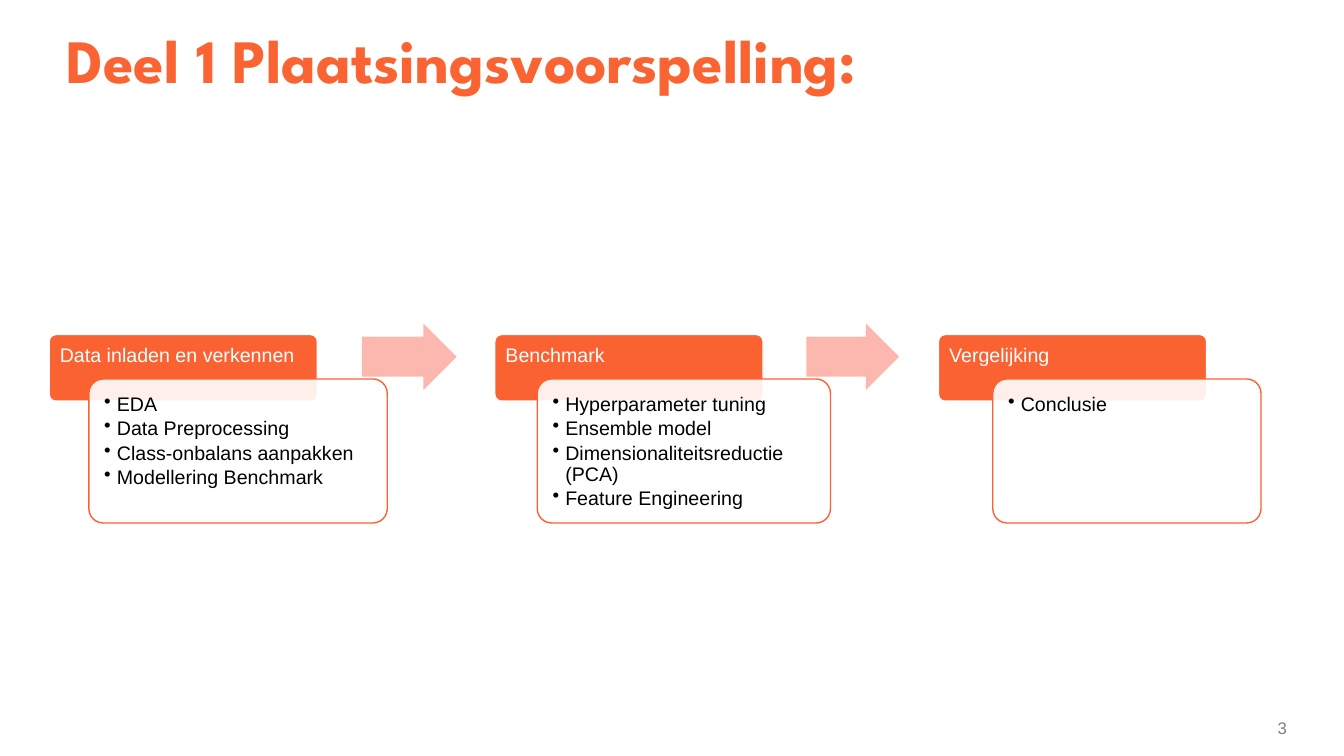
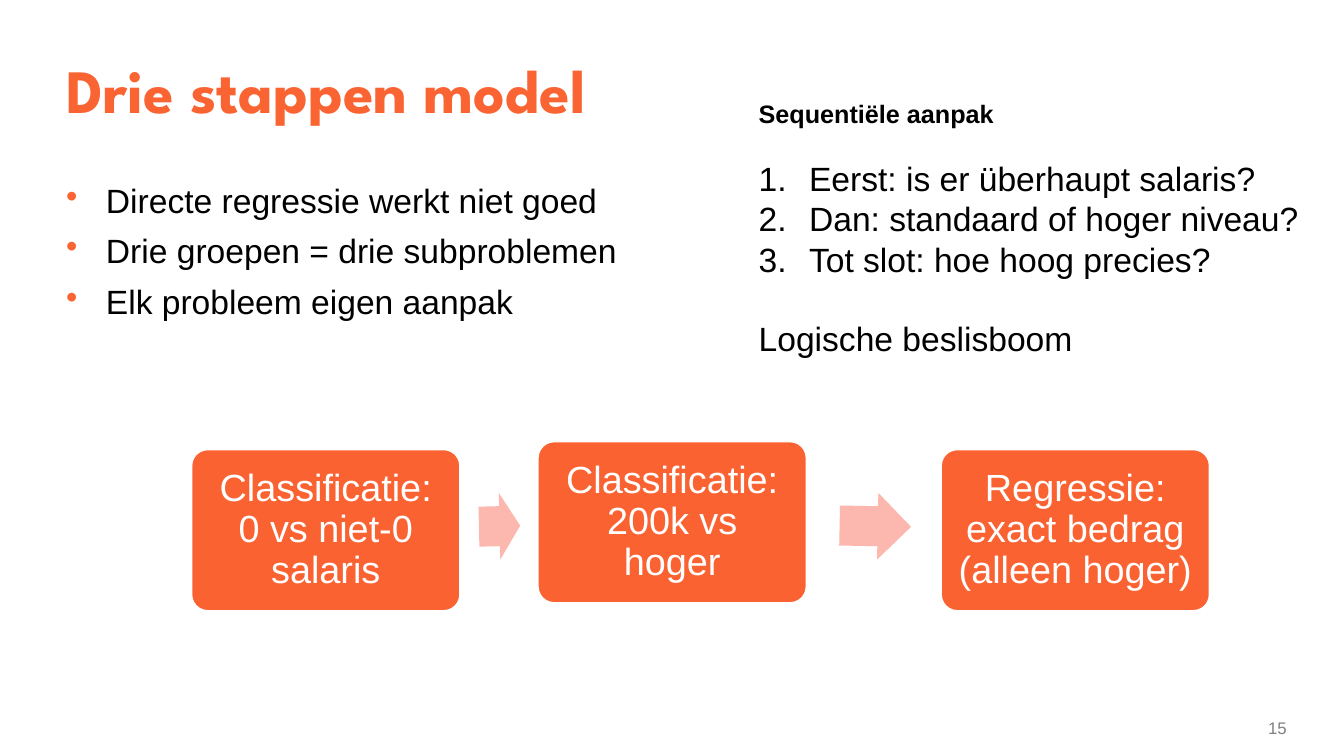
from pptx import Presentation
from pptx.dml.color import RGBColor
from pptx.enum.shapes import MSO_SHAPE as SHAPE
from pptx.enum.text import MSO_ANCHOR as ANCHOR, PP_ALIGN as ALIGN
from pptx.oxml.ns import qn
from pptx.util import Cm, Pt
from lxml.etree import SubElement

HUES = {
    "title": "FA6432",
    "main": "FA6232",
    "arrow": "FCB7AE",
    "white": "FFFFFF",
    "black": "000000",
    "grey": "808080",
}


def write(shape, *lines, size, hue="black", face="Arial", bold=False,
          align=ALIGN.LEFT, anchor=ANCHOR.TOP, pad=(0.25, 0.13, 0.25, 0.13),
          space=1.0, after=0, before=0, mark=None, tint=None, indent=0):
    """Append one paragraph per line; mark is a bullet or "1." for numbers."""
    frame = shape.text_frame
    frame.word_wrap = True
    frame.vertical_anchor = anchor
    (frame.margin_left, frame.margin_top,
     frame.margin_right, frame.margin_bottom) = [Cm(p) for p in pad]
    for line in lines:
        para = frame.paragraphs[0] if not frame.text else frame.add_paragraph()
        para.alignment = align
        para.line_spacing = space
        para.space_before, para.space_after = Pt(before), Pt(after)
        if mark:
            props = para._p.get_or_add_pPr()
            props.set("marL", str(Cm(indent)))
            props.set("indent", str(-Cm(indent)))
            if tint:
                clr = SubElement(props, qn("a:buClr"))
                SubElement(clr, qn("a:srgbClr"), val=HUES[tint])
            if mark == "1.":
                SubElement(props, qn("a:buAutoNum"), type="arabicPeriod")
            else:
                SubElement(props, qn("a:buChar"), char=mark)
        para.text = line
        for run in para.runs:
            run.font.name, run.font.size, run.font.bold = face, Pt(size), bold
            run.font.color.rgb = RGBColor.from_string(HUES[hue])


def draw(slide, kind, left, top, width, height, fill, line=None, adjust=(0.1,)):
    """Add a flat preset shape, with sizes in centimetres."""
    shape = slide.shapes.add_shape(kind, Cm(left), Cm(top), Cm(width), Cm(height))
    shape.shadow.inherit = False
    for i, value in enumerate(adjust):
        shape.adjustments[i] = value
    shape.fill.solid()
    shape.fill.fore_color.rgb = RGBColor.from_string(HUES[fill])
    if line:
        shape.line.color.rgb = RGBColor.from_string(HUES[line])
        shape.line.width = Pt(1)
    else:
        shape.line.fill.background()
    return shape


deck = Presentation()
deck.slide_width, deck.slide_height = Cm(33.87), Cm(19.05)

# Titles and page numbers
slides = []
for title, page, anchor, top in [
    ("Deel 1 Plaatsingsvoorspelling:", "3", ANCHOR.TOP, 0),
    ("Drie stappen model", "15", ANCHOR.MIDDLE, 0.13),
]:
    slide = deck.slides.add_slide(deck.slide_layouts[5])
    slides.append(slide)
    head = slide.shapes.title
    head.left, head.top, head.width, head.height = Cm(1.42), Cm(0.84), Cm(31), Cm(3.1)
    write(head, title, size=44, hue="title", face="League Spartan", bold=True,
          anchor=anchor, pad=(0.25, top, 0.25, 0.13), space=0.85)
    foot = slide.shapes.add_textbox(Cm(30.73), Cm(17.96), Cm(1.7), Cm(0.76))
    write(foot, page, size=12, hue="grey", align=ALIGN.RIGHT,
          anchor=ANCHOR.MIDDLE, pad=(0.25, 0.13, 0, 0.13))
first, second = slides

# Phases: a header with an overlapping card
phases = [
    ("Data inladen en verkennen", 1.24, 2.24, 7.52,
     ["EDA", "Data Preprocessing", "Class-onbalans aanpakken",
      "Modellering Benchmark"]),
    ("Benchmark", 12.47, 13.54, 7.39,
     ["Hyperparameter tuning", "Ensemble model",
      "Dimensionaliteitsreductie (PCA)", "Feature Engineering"]),
    ("Vergelijking", 23.65, 25.02, 6.76, ["Conclusie"]),
]
for name, left, inner, width, items in phases:
    tab = draw(first, SHAPE.ROUNDED_RECTANGLE, left, 8.43, 6.76, 1.68, "main", "white")
    write(tab, name, size=14, hue="white", space=0.9, pad=(0.22, 0.22, 0.22, 0.15))
    card = draw(first, SHAPE.ROUNDED_RECTANGLE, inner, 9.55, width, 3.63, "white", "main")
    tone = card._element.spPr.find(qn("a:solidFill")).find(qn("a:srgbClr"))
    SubElement(tone, qn("a:alpha"), val="90000")
    write(card, *items, size=14, space=0.9, after=2.3, mark="•", indent=0.32,
          pad=(0.28, 0.28, 0.28, 0.28))

# Arrows between phases and between steps
for slide, left, top, width, turn in [
    (first, 9.12, 8.15, 2.39, 0),
    (first, 20.32, 8.15, 2.34, 0),
    (second, 12.07, 12.42, 1.04, -1.3),
    (second, 21.16, 12.42, 1.8, 1.1),
]:
    arrow = draw(slide, SHAPE.RIGHT_ARROW, left, top, width, 1.68, "arrow",
                 adjust=(0.6, 0.5))
    arrow.rotation = turn

# Reasons on the left
why = second.shapes.add_textbox(Cm(1.42), Cm(4.52), Cm(15.72), Cm(4.34))
write(why, "Directe regressie werkt niet goed", "Drie groepen = drie subproblemen",
      "Elk probleem eigen aanpak", size=24, space=0.9, after=10,
      mark="•", tint="title", indent=1)

# Approach on the right
plan = second.shapes.add_textbox(Cm(18.87), Cm(2.36), Cm(14.98), Cm(6.93))
write(plan, "Sequentiële aanpak", size=18, bold=True, after=20.7)
write(plan, "Eerst: is er überhaupt salaris?", "Dan: standaard of hoger niveau?",
      "Tot slot: hoe hoog precies?", size=24, mark="1.", indent=1.27)
write(plan, "Logische beslisboom", size=24, before=28)

# Model steps
for left, top, label in [
    (4.83, 11.33, "Classificatie:\v0 vs niet-0 salaris"),
    (13.56, 11.13, "Classificatie:\v200k vs hoger"),
    (23.72, 11.33, "Regressie:\vexact bedrag (alleen hoger)"),
]:
    step = draw(second, SHAPE.ROUNDED_RECTANGLE, left, top, 6.76, 4.06, "main", "white")
    write(step, label, size=27, hue="white", align=ALIGN.CENTER,
          anchor=ANCHOR.MIDDLE, space=0.9, pad=(0.3, 0.28, 0.3, 0.28))

deck.save("out.pptx")
